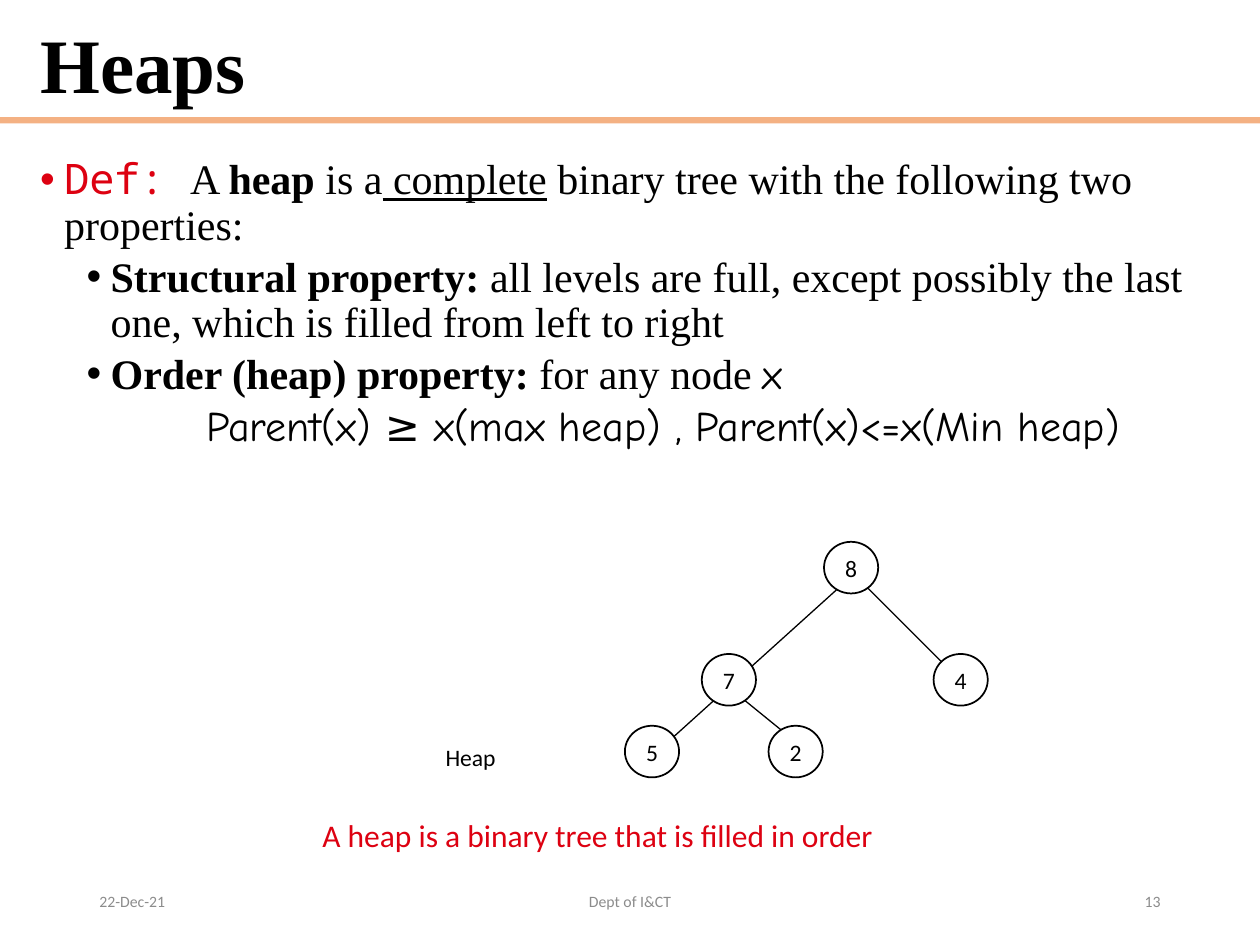
from lxml.etree import SubElement
from pptx import Presentation
from pptx.dml.color import RGBColor
from pptx.enum.shapes import MSO_CONNECTOR, MSO_SHAPE
from pptx.enum.text import MSO_ANCHOR, PP_ALIGN
from pptx.oxml.ns import qn
from pptx.util import Inches, Pt

BLACK, RED, GREY = "000000", "DD0111", "8C8C8C"
SERIF, SANS, HAND, MONO = "Times New Roman", "Calibri", "Comic Neue", "Noto Sans Mono"


def color(value):
    return RGBColor.from_string(value)


class SlideBuilder:
    def __init__(self, prs):
        self.s = prs.slides.add_slide(prs.slide_layouts[5])

    def run(self, p, text, size, font=SANS, fill=BLACK, bold=False, underline=False):
        r = p.add_run()
        r.text = text
        r.font.size, r.font.name = Pt(size), font
        r.font.bold, r.font.underline = bold, underline
        r.font.color.rgb = color(fill)

    def title(self, text, x, y, w, h):
        sp = self.s.shapes.title
        sp.left, sp.top, sp.width, sp.height = map(Inches, (x, y, w, h))
        tf = sp.text_frame
        tf.vertical_anchor = MSO_ANCHOR.MIDDLE
        p = tf.paragraphs[0]
        p.alignment, p.line_spacing = PP_ALIGN.LEFT, 0.95
        self.run(p, text, 44, SERIF, bold=True)

    def text(self, text, x, y, w, h, size, fill=BLACK, align=PP_ALIGN.LEFT,
             anchor=MSO_ANCHOR.TOP, wrap=True):
        tf = self.s.shapes.add_textbox(*map(Inches, (x, y, w, h))).text_frame
        tf.word_wrap, tf.vertical_anchor = wrap, anchor
        p = tf.paragraphs[0]
        p.alignment = align
        self.run(p, text, size, fill=fill)

    def body(self, paragraphs, x, y, w, h, size):
        tf = self.s.shapes.add_textbox(*map(Inches, (x, y, w, h))).text_frame
        tf.word_wrap = True
        for i, (level, indent, bullet, runs) in enumerate(paragraphs):
            p = tf.add_paragraph() if i else tf.paragraphs[0]
            p.level, p.line_spacing = level, 0.9
            if i:
                p.space_before = Pt(3.8)
            pPr = p._p.get_or_add_pPr()
            pPr.set("marL", str(Inches(indent)))
            pPr.set("indent", str(Inches(-0.19 if bullet else 0)))
            if bullet:
                SubElement(pPr, qn("a:buFont")).set("typeface", "Arial")
                SubElement(pPr, qn("a:buChar")).set("char", "•")
            else:
                SubElement(pPr, qn("a:buNone"))
            for text, style in runs:
                self.run(p, text, size, **{"font": SERIF, **style})

    def shape(self, kind, x, y, w, h, fill):
        sp = self.s.shapes.add_shape(kind, *map(Inches, (x, y, w, h)))
        sp.shadow.inherit = False
        sp.fill.solid()
        sp.fill.fore_color.rgb = color(fill)
        sp.line.fill.background()
        return sp

    def node(self, label, x, y):
        sp = self.shape(MSO_SHAPE.OVAL, x, y, 0.43, 0.41, "FFFFFF")
        sp.line.color.rgb, sp.line.width = color(BLACK), Pt(1)
        tf = sp.text_frame
        tf.word_wrap, tf.vertical_anchor = False, MSO_ANCHOR.MIDDLE
        p = tf.paragraphs[0]
        p.alignment = PP_ALIGN.CENTER
        self.run(p, label, 13.5)

    def line(self, x1, y1, x2, y2):
        c = self.s.shapes.add_connector(
            MSO_CONNECTOR.STRAIGHT, *map(Inches, (x1, y1, x2, y2)))
        c.line.color.rgb, c.line.width = color(BLACK), Pt(0.75)
        SubElement(c._element.spPr, qn("a:effectLst"))


def main():
    prs = Presentation()
    prs.slide_width, prs.slide_height = Inches(10), Inches(7.5)
    b = SlideBuilder(prs)

    # Title and rule
    b.shape(MSO_SHAPE.RECTANGLE, 0, 0.93, 10, 0.05, "F4B183")
    b.title("Heaps", 0.22, 0.24, 8.5, 0.59)

    # Definition
    bold, hand = {"bold": True}, {"font": HAND}
    b.body([
        (0, 0.19, True, [
            ("Def: ", {"font": MONO, "fill": RED}), ("A ", {}), ("heap", bold),
            (" is a", {}), (" complete", {"underline": True}),
            (" binary tree with the following two properties:", {})]),
        (1, 0.56, True, [
            ("Structural property:", bold),
            (" all levels are full, except possibly the last one, "
             "which is filled from left to right", {})]),
        (1, 0.56, True, [
            ("Order (heap) property:", bold), (" for any node ", {}), ("x", hand)]),
        (1, 1.32, False, [
            ("Parent(x) ≥ x(max heap) , Parent(x)<=x(Min heap)", hand)]),
    ], 0.22, 1.21, 9.46, 2.93, 24)

    # Tree: edges first, nodes on top
    for edge in [(5.9, 5.55, 6.22, 5.81), (5.1, 6.07, 6.84, 4.5),
                 (7.61, 5.39, 6.63, 4.41)]:
        b.line(*edge)
    levels = [(4.3, [("8", 6.54)]),
              (5.19, [("7", 5.57), ("4", 7.41)]),
              (5.76, [("5", 4.96), ("2", 6.1)])]
    for y, nodes in levels:
        for label, x in nodes:
            b.node(label, x, y)

    # Captions
    b.text("Heap", 3.41, 5.85, 0.65, 0.33, 13.5, align=PP_ALIGN.CENTER, wrap=False)
    b.text("A heap is a binary tree that is filled in order",
           2.46, 6.43, 5.09, 0.4, 18, RED)

    # Footer
    for text, x, w, align in [("22-Dec-21", 0.69, 2.25, PP_ALIGN.LEFT),
                              ("Dept of I&CT", 3.31, 3.38, PP_ALIGN.CENTER),
                              ("13", 7.06, 2.25, PP_ALIGN.RIGHT)]:
        b.text(text, x, 6.95, w, 0.4, 9, GREY, align, MSO_ANCHOR.MIDDLE)

    prs.save("out.pptx")


if __name__ == "__main__":
    main()
